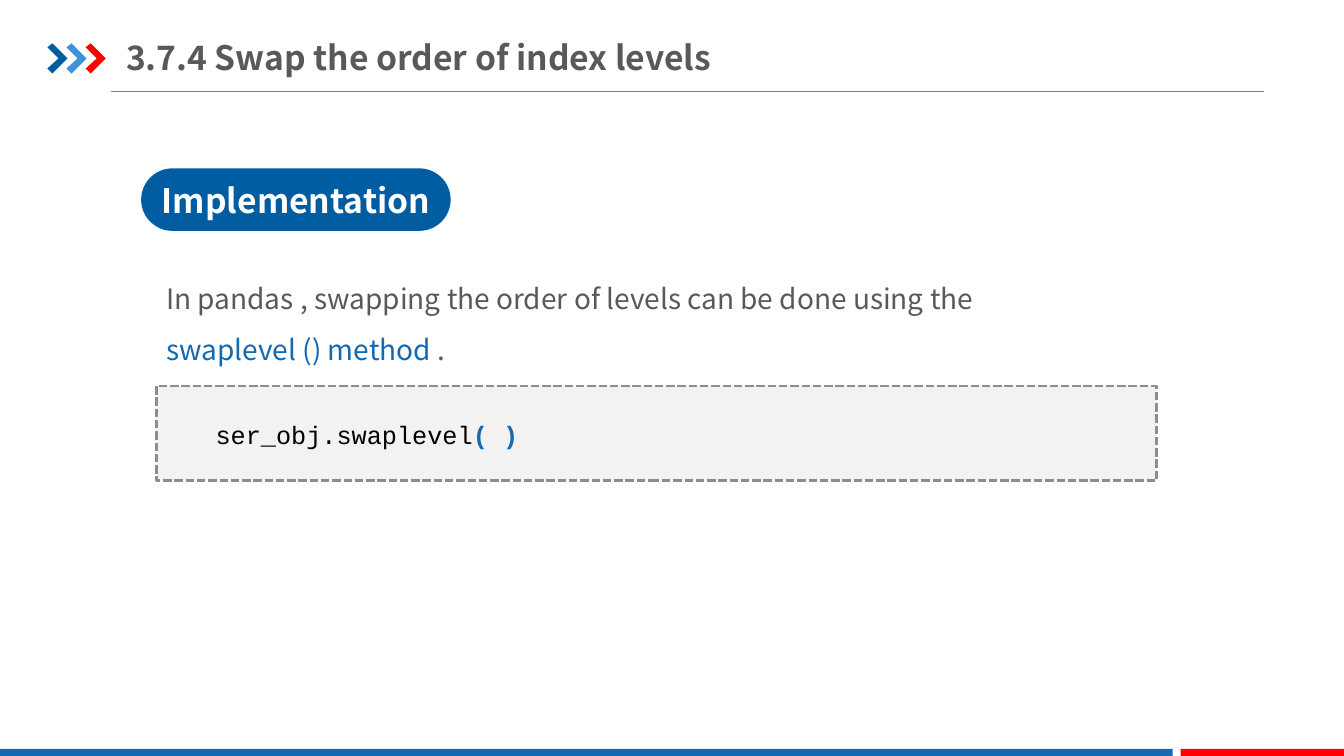
from lxml import etree
from pptx import Presentation
from pptx.dml.color import RGBColor
from pptx.enum import dml, shapes, text
from pptx.oxml.ns import qn
from pptx.util import Inches, Pt

# Content: each run is (wording, colour, bold)
TITLE = [("3.7.4 Swap the order of index levels", "grey", True)]
HEADING = [("Implementation", "white", True)]
BODY = [
    ("In pandas , swapping the order of levels can be done using the ", "grey", False),
    ("swaplevel () method ", "blue", False),
    (".", "grey", False),
]
CODE = [("ser_obj.swaplevel", "black", False), ("( )", "blue", True)]

SANS, MONO = "Noto Sans CJK SC", "Courier New"
COLORS = {
    "grey": "595959", "white": "FFFFFF", "black": "000000",
    "blue": "1369B2", "navy": "005DA2", "sky": "3992DB", "red": "FF0000",
    "rule": "808080", "panel": "F2F2F2", "dash": "8D8D8D",
}
CHEVRONS = ["navy", "sky", "red"]
CHEVRON_OUTLINE = [(0, 0.04), (0.05, 0), (0.2, 0.15), (0.05, 0.3), (0, 0.25), (0.11, 0.15)]
CHEVRON_LEFT, CHEVRON_TOP, CHEVRON_STEP = 0.47, 0.43, 0.19
FOOTER_BARS = [(0, 11.63, "blue"), (11.71, 1.63, "red")]


def color(name):
    return RGBColor.from_string(COLORS[name])


def paint(shape, fill):
    shape.shadow.inherit = False
    shape.fill.solid()
    shape.fill.fore_color.rgb = color(fill)
    shape.line.fill.background()
    return shape


def add_box(kind, left, top, width, height, fill):
    box = slide.shapes.add_shape(kind, Inches(left), Inches(top), Inches(width), Inches(height))
    return paint(box, fill)


def write(shape, runs, font, size, align=text.PP_ALIGN.LEFT, anchor=text.MSO_ANCHOR.MIDDLE):
    frame = shape.text_frame
    frame.word_wrap = True
    frame.auto_size = text.MSO_AUTO_SIZE.NONE
    frame.vertical_anchor = anchor
    paragraph = frame.paragraphs[0]
    paragraph.alignment = align
    for wording, run_color, bold in runs:
        run = paragraph.add_run()
        run.text = wording
        run.font.name = font
        run.font.size = Pt(size)
        run.font.bold = bold
        run.font.color.rgb = color(run_color)
    return paragraph


def add_text(left, top, width, height, runs, font, size):
    box = slide.shapes.add_textbox(Inches(left), Inches(top), Inches(width), Inches(height))
    return write(box, runs, font, size, anchor=text.MSO_ANCHOR.TOP)


presentation = Presentation()
presentation.slide_width = Inches(13.33)
presentation.slide_height = Inches(7.5)
slide = presentation.slides.add_slide(presentation.slide_layouts[5])

# Rule under the title
rule = slide.shapes.add_connector(
    shapes.MSO_CONNECTOR.STRAIGHT, Inches(1.1), Inches(0.91), Inches(12.54), Inches(0.91))
rule.line.color.rgb = color("rule")
rule.line.width = Pt(0.75)
etree.SubElement(rule._element.spPr, qn("a:effectLst"))

# Chevrons beside the title
for index, fill in enumerate(CHEVRONS):
    left = CHEVRON_LEFT + index * CHEVRON_STEP
    points = [(Inches(left + x), Inches(CHEVRON_TOP + y)) for x, y in CHEVRON_OUTLINE]
    builder = slide.shapes.build_freeform(*points[0])
    builder.add_line_segments(points[1:], close=True)
    paint(builder.convert_to_shape(), fill)

# Footer bars
for left, width, fill in FOOTER_BARS:
    add_box(shapes.MSO_SHAPE.RECTANGLE, left, 7.43, width, 0.09, fill)

# Title
title = slide.shapes.title
title.left, title.top = Inches(1.25), Inches(0.29)
title.width, title.height = Inches(6.68), Inches(0.55)
title.text_frame.margin_left = title.text_frame.margin_right = 0
title.text_frame.margin_top = title.text_frame.margin_bottom = Inches(0.07)
write(title, TITLE, SANS, 24)

# Heading pill
pill = add_box(shapes.MSO_SHAPE.ROUNDED_RECTANGLE, 1.4, 1.67, 3.07, 0.62, "navy")
pill.adjustments[0] = 0.5
write(pill, HEADING, SANS, 24, align=text.PP_ALIGN.CENTER)

# Explanation
add_text(1.55, 2.58, 8.74, 1.11, BODY, SANS, 20).line_spacing = 1.5

# Code panel
panel = add_box(shapes.MSO_SHAPE.RECTANGLE, 1.55, 3.83, 9.92, 0.94, "panel")
panel.line.color.rgb = color("dash")
panel.line.width = Pt(2)
panel.line.dash_style = dml.MSO_LINE.SQUARE_DOT
add_text(2.04, 4.11, 5.72, 0.4, CODE, MONO, 18)

presentation.save("out.pptx")
